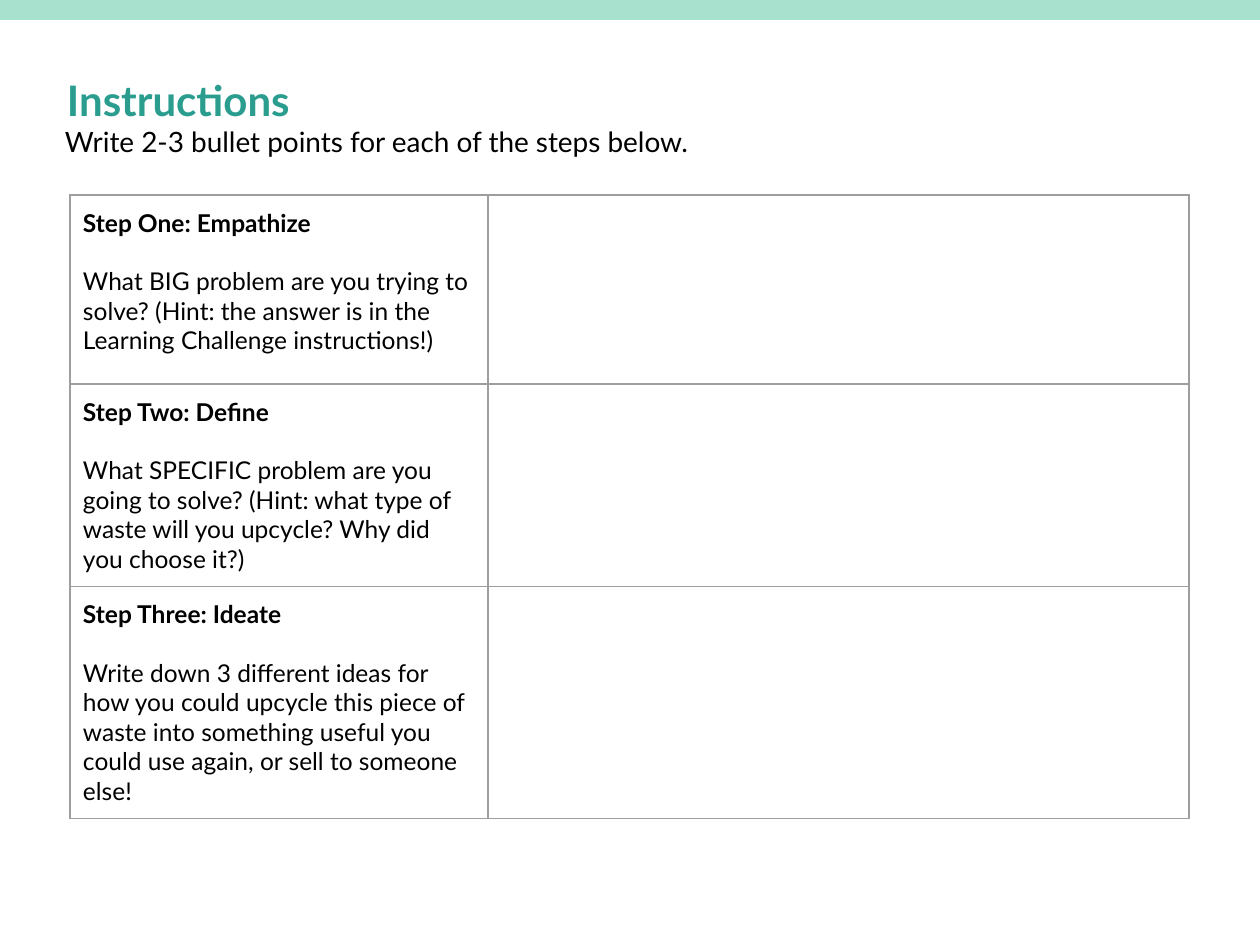
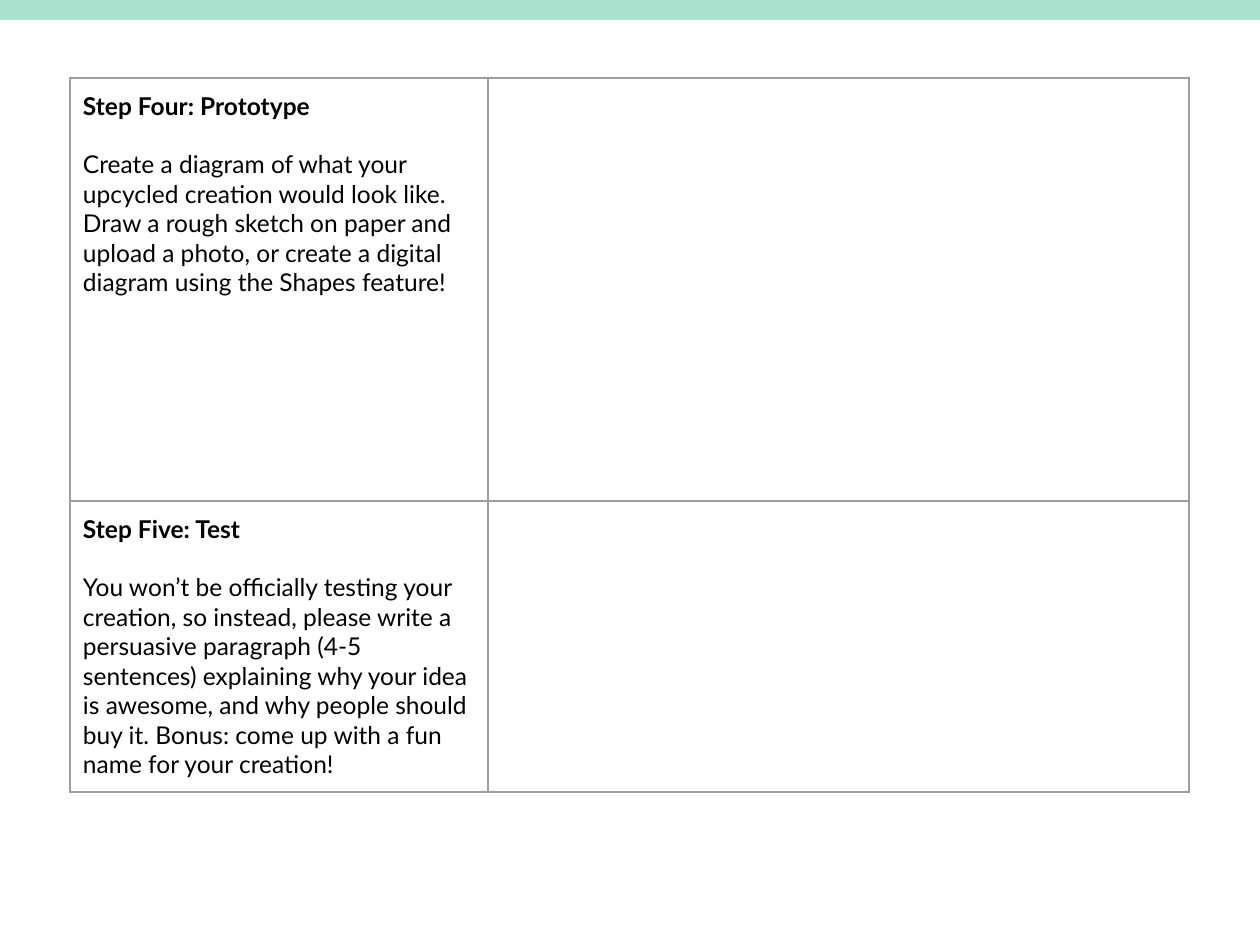
import lxml.etree
import pptx
import pptx.dml.color
import pptx.enum.shapes
import pptx.enum.text
import pptx.oxml.ns
import pptx.util

PIXEL = 914400 / 126
SLIDE_WIDTH, SLIDE_HEIGHT = 1260, 945
TABLE_LEFT = 70
COLUMN_WIDTHS = (418, 701)
INSET = 13
FONT = "Lato"
MINT, TEAL, BLACK, GREY = "A9E1CF", "2A9D8F", "000000", "9E9E9E"
BORDER_POINTS = 0.75
STEP_SIZE = 14
STEP_GAP = 16.8

FIRST_STEPS = [
    (189, "Step One: Empathize",
     "What BIG problem are you trying to solve? (Hint: the answer is in the "
     "Learning Challenge instructions!)"),
    (202, "Step Two: Define",
     "What SPECIFIC problem are you going to solve? (Hint: what type of waste "
     "will you upcycle? Why did you choose it?)"),
    (231, "Step Three: Ideate",
     "Write down 3 different ideas for how you could upcycle this piece of waste "
     "into something useful you could use again, or sell to someone else!"),
]
LAST_STEPS = [
    (423, "Step Four: Prototype",
     "Create a diagram of what your upcycled creation would look like. Draw a "
     "rough sketch on paper and upload a photo, or create a digital diagram "
     "using the Shapes feature!"),
    (291, "Step Five: Test",
     "You won’t be officially testing your creation, so instead, please write a "
     "persuasive paragraph (4-5 sentences) explaining why your idea is awesome, "
     "and why people should buy it. Bonus: come up with a fun name for your "
     "creation!"),
]


def px(length):
    """Turn pixels into EMU."""
    return pptx.util.Emu(round(length * PIXEL))


def color(value):
    """Turn a hex string into a colour."""
    return pptx.dml.color.RGBColor.from_string(value)


def format_text(para, size, ink, bold=False):
    """Style every run of a paragraph."""
    for span in para.runs:
        span.font.name = FONT
        span.font.size = pptx.util.Pt(size)
        span.font.bold = bold
        span.font.color.rgb = color(ink)


def set_insets(holder):
    """Give a text frame or a cell the shared inner margins."""
    holder.margin_left = holder.margin_right = px(INSET)
    holder.margin_top = holder.margin_bottom = px(INSET)


def add_page(deck):
    """Add a blank slide with the band along its top edge."""
    page = deck.slides.add_slide(deck.slide_layouts[6])
    band = page.shapes.add_shape(
        pptx.enum.shapes.MSO_SHAPE.RECTANGLE, 0, 0, px(SLIDE_WIDTH), px(20))
    band.shadow.inherit = False
    band.fill.solid()
    band.fill.fore_color.rgb = color(MINT)
    band.line.fill.background()
    return page


def add_text(page, text, left, top, width, height, size, ink, bold=False):
    """Add a wrapping text box and return its frame."""
    box = page.shapes.add_textbox(px(left), px(top), px(width), px(height))
    frame = box.text_frame
    frame.word_wrap = True
    set_insets(frame)
    frame.text = text
    format_text(frame.paragraphs[0], size, ink, bold)
    return frame


def add_title(page, text):
    """Add the slide title."""
    frame = add_text(page, text, 54, 59, 682, 73, 24, TEAL, bold=True)
    frame.vertical_anchor = pptx.enum.text.MSO_ANCHOR.MIDDLE
    frame.paragraphs[0].line_spacing = 1.15
    frame.paragraphs[0].space_after = pptx.util.Pt(12)


def set_borders(cell):
    """Draw a thin grey line on all four sides of a cell."""
    name = pptx.oxml.ns.qn
    properties = cell._tc.get_or_add_tcPr()
    for side in ("a:lnL", "a:lnR", "a:lnT", "a:lnB"):
        line = lxml.etree.SubElement(
            properties, name(side), w=str(pptx.util.Pt(BORDER_POINTS)))
        fill = lxml.etree.SubElement(line, name("a:solidFill"))
        lxml.etree.SubElement(fill, name("a:srgbClr"), val=GREY)


def fill_step(cell, heading, task):
    """Write a bold step heading and its task into a cell."""
    frame = cell.text_frame
    frame.text = f"{heading}\n{task}"
    heading_para, task_para = frame.paragraphs
    format_text(heading_para, STEP_SIZE, BLACK, bold=True)
    heading_para.space_after = pptx.util.Pt(STEP_GAP)
    format_text(task_para, STEP_SIZE, BLACK)


def add_step_table(page, top, steps):
    """Add a table with steps on the left and room for answers on the right."""
    height = sum(step[0] for step in steps)
    table = page.shapes.add_table(
        len(steps), len(COLUMN_WIDTHS), px(TABLE_LEFT), px(top),
        px(sum(COLUMN_WIDTHS)), px(height)).table
    table.first_row = table.horz_banding = False
    for column, width in zip(table.columns, COLUMN_WIDTHS):
        column.width = px(width)
    for row, (row_height, heading, task) in zip(table.rows, steps):
        row.height = px(row_height)
        for cell in row.cells:
            set_insets(cell)
            set_borders(cell)
            cell.fill.background()
        fill_step(row.cells[0], heading, task)


def main():
    """Build and save the deck."""
    deck = pptx.Presentation()
    deck.slide_width, deck.slide_height = px(SLIDE_WIDTH), px(SLIDE_HEIGHT)

    page = add_page(deck)
    add_step_table(page, 195, FIRST_STEPS)
    add_title(page, "Instructions")
    add_text(page, "Write 2-3 bullet points for each of the steps below.",
             52, 112, 874, 59, 16, BLACK)

    page = add_page(deck)
    add_step_table(page, 78, LAST_STEPS)

    deck.save("out.pptx")


if __name__ == "__main__":
    main()
